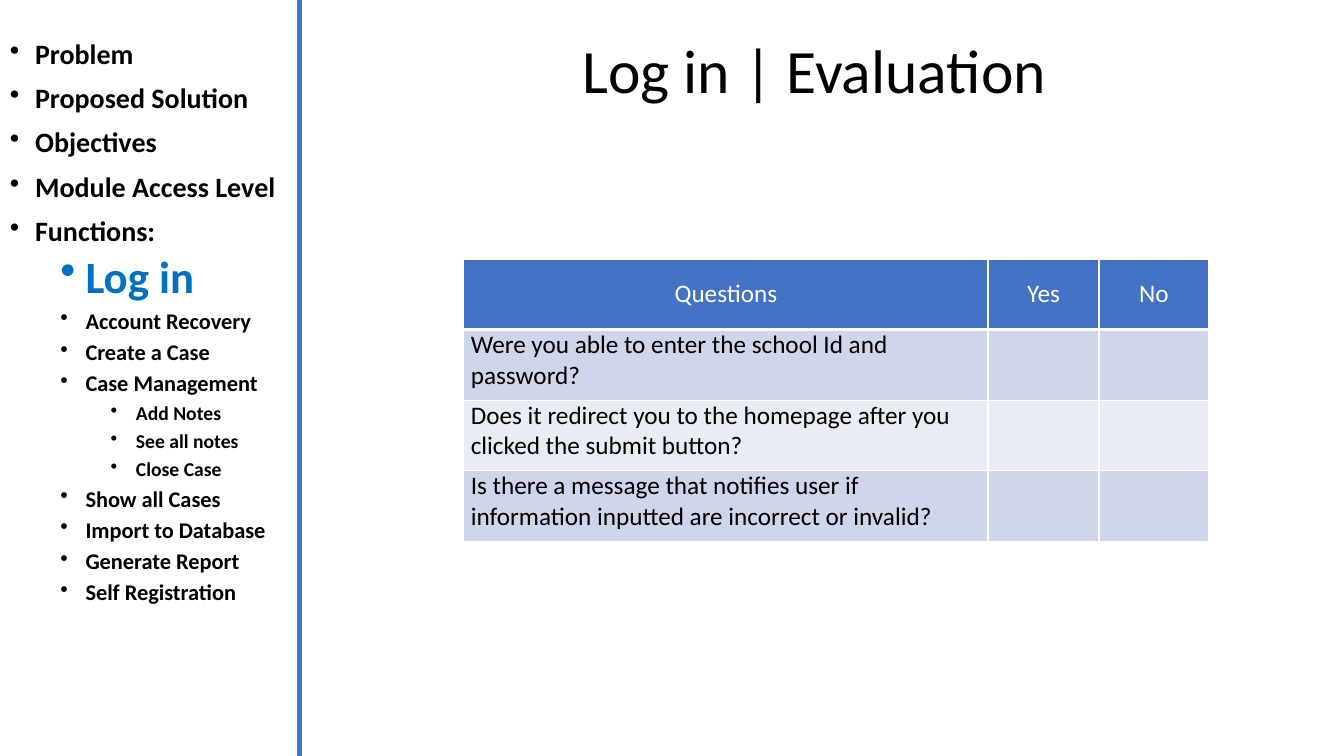
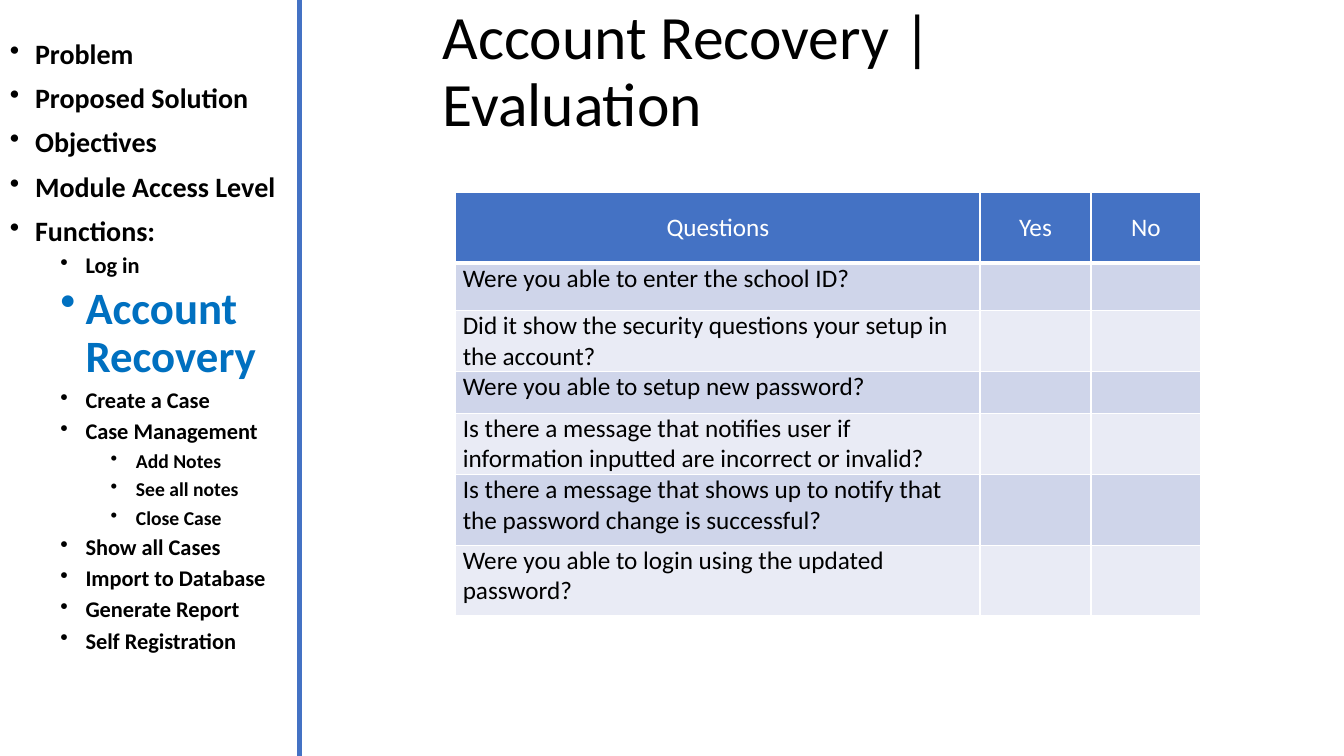
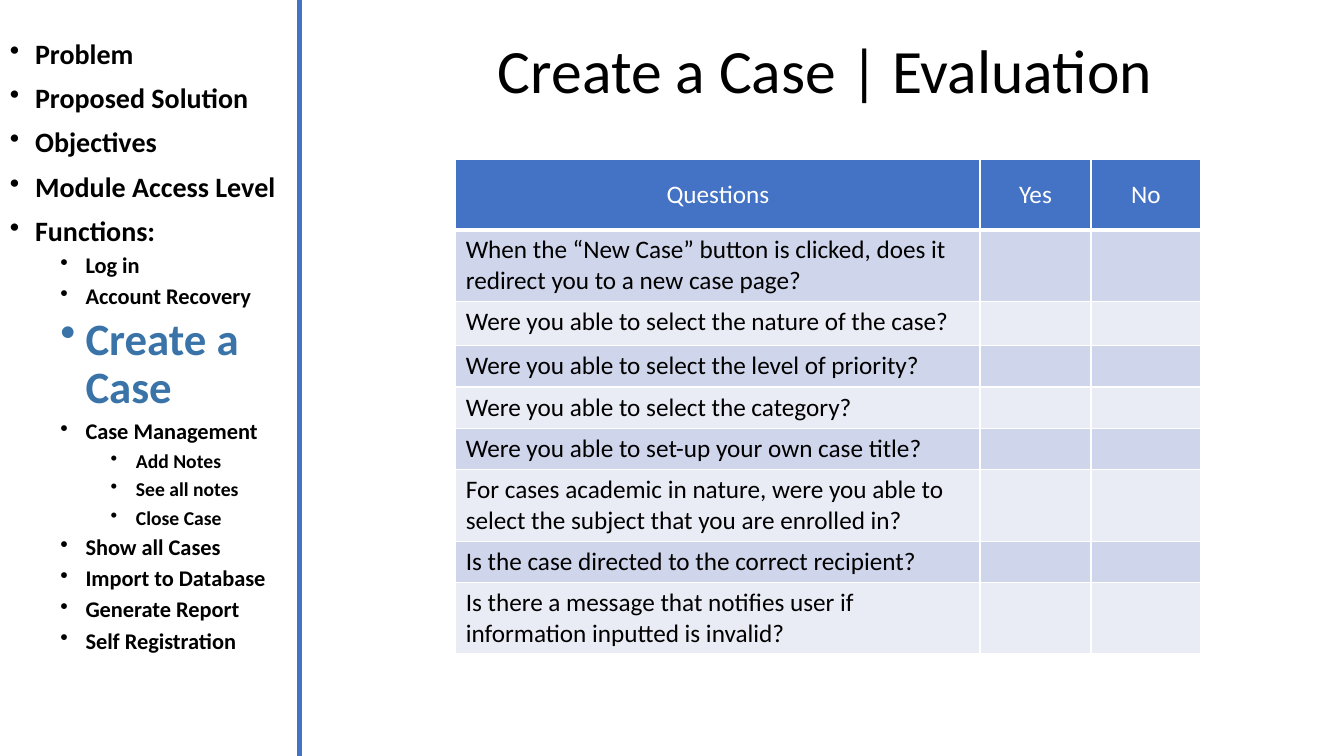
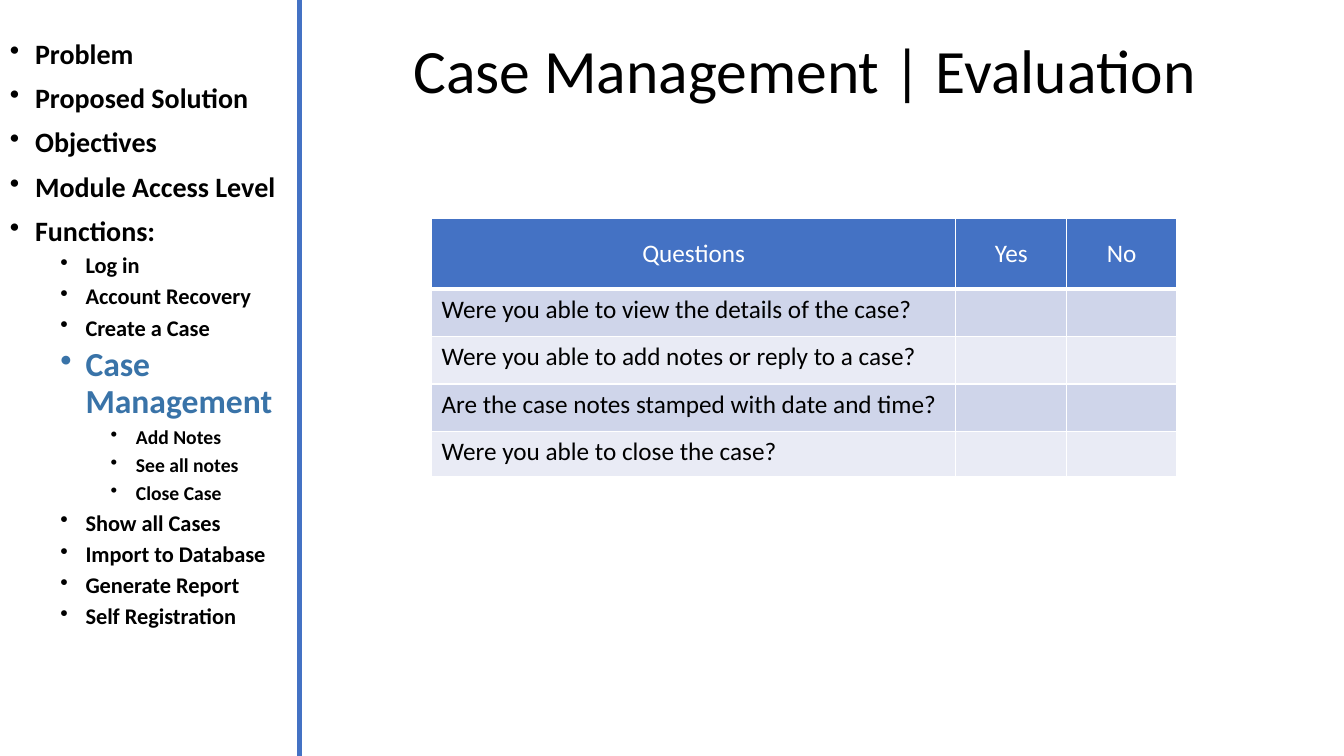
from lxml import etree
from pptx import Presentation
from pptx.dml.color import RGBColor
from pptx.enum.shapes import MSO_CONNECTOR
from pptx.enum.text import MSO_ANCHOR, PP_ALIGN
from pptx.oxml.ns import qn
from pptx.util import Inches, Pt

COLORS = {
    "accent": "4472C4",
    "band_dark": "CFD5EA",
    "band_light": "E9EBF5",
    "text": "000000",
    "white": "FFFFFF",
    "current_bright": "0070C0",
    "current_muted": "3973A8",
}
FONT = "Calibri"
SLIDE_W, SLIDE_H = 13.33, 7.5

# Sidebar: (level, entry)
MENU = [
    (0, "Problem"),
    (0, "Proposed Solution"),
    (0, "Objectives"),
    (0, "Module Access Level"),
    (0, "Functions:"),
    (1, "Log in"),
    (1, "Account Recovery"),
    (1, "Create a Case"),
    (1, "Case Management"),
    (2, "Add Notes"),
    (2, "See all notes"),
    (2, "Close Case"),
    (1, "Show all Cases"),
    (1, "Import to Database"),
    (1, "Generate Report"),
    (1, "Self Registration"),
]
MENU_BOX = (0, 0.35, 2.86, 7.15)
MENU_SIZES = (20, 16, 14)
DIVIDER_X = 2.97

# Evaluation table
HEADINGS = ("Questions", "Yes", "No")
COLUMN_WIDTHS = (5.2, 1.1, 1.09)
HEADING_HEIGHT = 0.7
TIGHT_MARGINS = (0.07, 0)
NORMAL_MARGINS = (0.1, 0.05)

# One entry per slide; questions are (row height, wording)
EVALUATIONS = [
    {
        "function": "Log in",
        "menu_style": (32, "current_bright"),
        "title_box": (5.68, 0, 6.13, 1.45),
        "table_at": (4.6, 2.57),
        "margins": TIGHT_MARGINS,
        "questions": [
            (0.7, "Were you able to enter the school Id and password?"),
            (0.7, "Does it redirect you to the homepage after you clicked the submit button?"),
            (0.7, "Is there a message that notifies user if information inputted are "
                  "incorrect or invalid?"),
        ],
    },
    {
        "function": "Account Recovery",
        "menu_style": (32, "current_bright"),
        "title_box": (4.29, 0, 7.69, 1.45),
        "table_at": (4.52, 1.91),
        "margins": TIGHT_MARGINS,
        "questions": [
            (0.47, "Were you able to enter the school ID?"),
            (0.61, "Did it show the security questions your setup in the account?"),
            (0.41, "Were you able to setup new password?"),
            (0.61, "Is there a message that notifies user if information inputted are "
                   "incorrect or invalid?"),
            (0.7, "Is there a message that shows up to notify that the password change "
                  "is successful?"),
            (0.7, "Were you able to login using the updated password?"),
        ],
    },
    {
        "function": "Create a Case",
        "menu_style": (32, "current_muted"),
        "title_box": (4.84, 0, 7.69, 1.45),
        "table_at": (4.52, 1.58),
        "margins": NORMAL_MARGINS,
        "questions": [
            (0.71, "When the “New Case” button is clicked, does it redirect you to a "
                   "new case page?"),
            (0.44, "Were you able to select the nature of the case?"),
            (0.41, "Were you able to select the level of priority?"),
            (0.41, "Were you able to select the category?"),
            (0.41, "Were you able to set-up your own case title?"),
            (0.71, "For cases academic in nature, were you able to select the subject "
                   "that you are enrolled in?"),
            (0.41, "Is the case directed to the correct recipient?"),
            (0.71, "Is there a message that notifies user if information inputted is invalid?"),
        ],
    },
    {
        "function": "Case Management",
        "menu_style": (24, "current_muted"),
        "title_box": (4, 0, 8.9, 1.45),
        "table_at": (4.28, 2.17),
        "margins": NORMAL_MARGINS,
        "questions": [
            (0.47, "Were you able to view the details of the case?"),
            (0.47, "Were you able to add notes or reply to a case?"),
            (0.47, "Are the case notes stamped with date and time?"),
            (0.45, "Were you able to close the case?"),
        ],
    },
]


def rgb(name):
    return RGBColor.from_string(COLORS[name])


def set_font(paragraph, size, color="text", bold=False):
    font = paragraph.font
    font.name, font.size, font.bold = FONT, Pt(size), bold
    font.color.rgb = rgb(color)


def add_text_frame(slide, box):
    frame = slide.shapes.add_textbox(*map(Inches, box)).text_frame
    frame.word_wrap = True
    return frame


def add_bullet(paragraph, indent, hanging):
    props = paragraph._p.get_or_add_pPr()
    props.set("marL", str(Inches(indent)))
    props.set("indent", str(-Inches(hanging)))
    etree.SubElement(props, qn("a:buChar")).set("char", "•")


def add_menu(slide, box, current, current_style):
    """List all topics, with the current function enlarged and coloured."""
    frame = add_text_frame(slide, box)
    for index, (level, entry) in enumerate(MENU):
        line = frame.add_paragraph() if index else frame.paragraphs[0]
        line.text = entry
        line.level = level
        line.line_spacing = 0.9
        if index:
            line.space_before = Pt(5 if level else 10)
        add_bullet(line, 0.25 + 0.5 * level, 0.25)
        size, color = current_style if entry == current else (MENU_SIZES[level], "text")
        set_font(line, size, color, bold=True)


def add_divider(slide, x):
    divider = slide.shapes.add_connector(
        MSO_CONNECTOR.STRAIGHT, Inches(x), 0, Inches(x), Inches(SLIDE_H))
    divider.line.color.rgb = rgb("accent")
    divider.line.width = Pt(3)
    etree.SubElement(divider._element.spPr, qn("a:effectLst"))


def add_title(slide, box, title):
    frame = add_text_frame(slide, box)
    frame.vertical_anchor = MSO_ANCHOR.MIDDLE
    line = frame.paragraphs[0]
    line.text = title
    line.line_spacing = 0.9
    set_font(line, 44)


def style_cell(cell, fill, bottom_width=1):
    """Give a cell white borders and a solid fill."""
    props = cell._tc.get_or_add_tcPr()
    for side, width in (("L", 1), ("R", 1), ("T", 1), ("B", bottom_width)):
        border = etree.SubElement(props, qn(f"a:ln{side}"), w=str(Pt(width)))
        solid = etree.SubElement(border, qn("a:solidFill"))
        etree.SubElement(solid, qn("a:srgbClr"), val=COLORS["white"])
    cell.fill.solid()
    cell.fill.fore_color.rgb = rgb(fill)


def add_evaluation_table(slide, at, questions, margins):
    heights = [HEADING_HEIGHT] + [height for height, _ in questions]
    size = (sum(COLUMN_WIDTHS), sum(heights))
    table = slide.shapes.add_table(
        len(heights), len(HEADINGS), *map(Inches, at + size)).table
    table.first_row = table.horz_banding = False
    for column, width in zip(table.columns, COLUMN_WIDTHS):
        column.width = Inches(width)
    for row, height in zip(table.rows, heights):
        row.height = Inches(height)

    # Heading row
    for cell, heading in zip(table.rows[0].cells, HEADINGS):
        style_cell(cell, "accent", bottom_width=3)
        cell.vertical_anchor = MSO_ANCHOR.MIDDLE
        cell.text = heading
        line = cell.text_frame.paragraphs[0]
        line.alignment = PP_ALIGN.CENTER
        set_font(line, 18, "white")

    # Question rows with empty answer cells
    for number, (_, question) in enumerate(questions, start=1):
        cells = list(table.rows[number].cells)
        for cell in cells:
            style_cell(cell, "band_dark" if number % 2 else "band_light")
            set_font(cell.text_frame.paragraphs[0], 18)
        asked = cells[0]
        asked.text_frame.paragraphs[0].text = question
        asked.margin_left = asked.margin_right = Inches(margins[0])
        asked.margin_top = asked.margin_bottom = Inches(margins[1])


def add_evaluation_slide(deck, evaluation):
    slide = deck.slides.add_slide(deck.slide_layouts[6])
    function = evaluation["function"]
    add_divider(slide, DIVIDER_X)
    add_title(slide, evaluation["title_box"], f"{function} | Evaluation")
    add_evaluation_table(slide, evaluation["table_at"], evaluation["questions"],
                         evaluation["margins"])
    add_menu(slide, MENU_BOX, function, evaluation["menu_style"])


def main():
    deck = Presentation()
    deck.slide_width, deck.slide_height = Inches(SLIDE_W), Inches(SLIDE_H)
    for evaluation in EVALUATIONS:
        add_evaluation_slide(deck, evaluation)
    deck.save("out.pptx")


if __name__ == "__main__":
    main()
